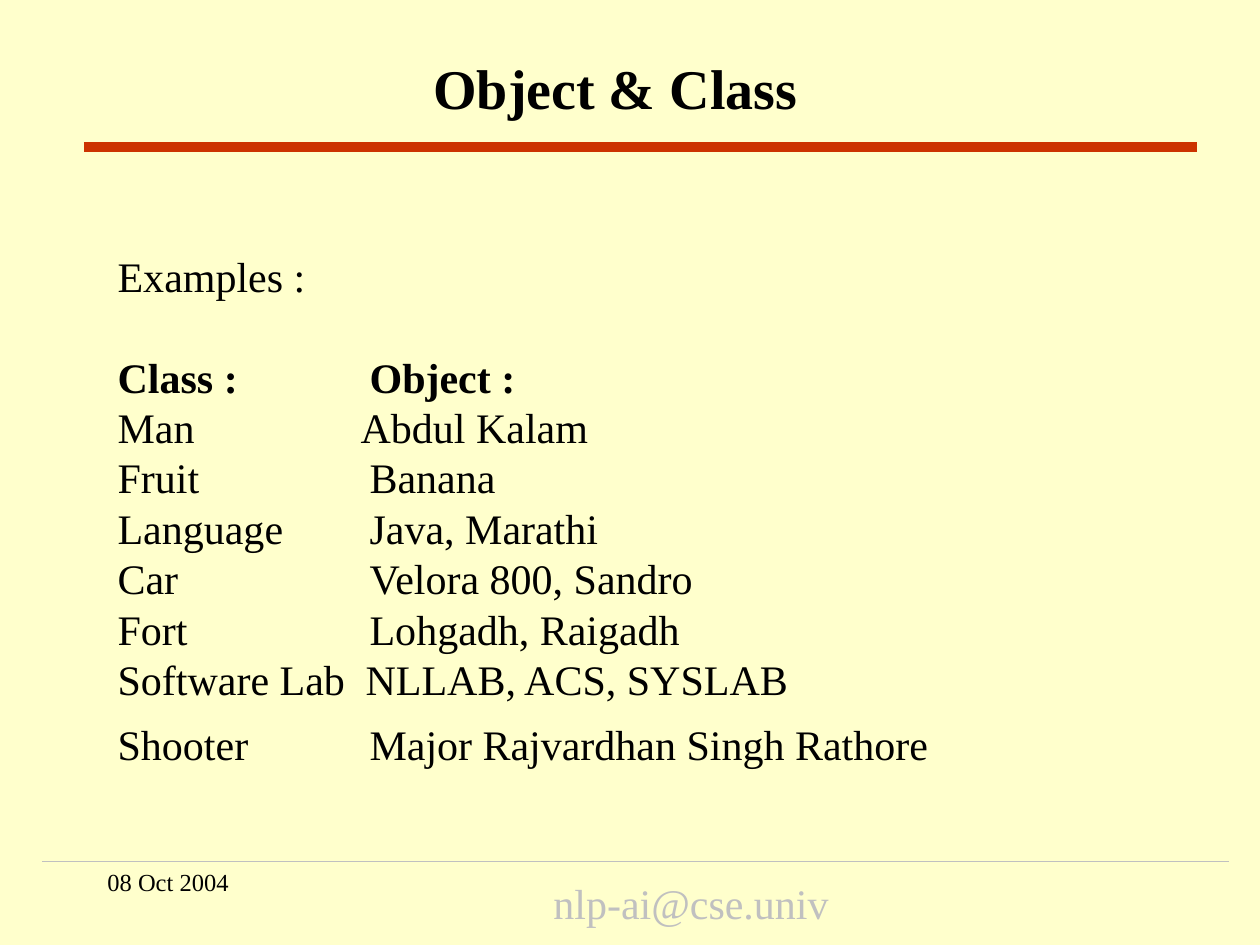
from dataclasses import dataclass

from lxml.etree import SubElement
from pptx import Presentation
from pptx.dml.color import RGBColor
from pptx.enum.shapes import MSO_CONNECTOR
from pptx.enum.text import MSO_ANCHOR, MSO_AUTO_SIZE, PP_ALIGN
from pptx.oxml.ns import qn
from pptx.util import Emu, Pt

EMU_PER_PX = 914400 / 126


@dataclass(frozen=True)
class Theme:
    font: str = "Times New Roman"
    background: str = "FFFFCC"
    ink: str = "000000"
    accent: str = "CC3300"
    muted: str = "C0C0C0"
    title_size: int = 32
    body_size: int = 24
    date_size: int = 14
    line_pitch: float = 28.8


@dataclass(frozen=True)
class Row:
    """One line of the list; tab is where its second column starts, in px."""
    left: str
    right: str = ""
    bold: bool = False
    space_before: float = 0
    tab: int = 252


ROWS = [
    Row("Examples :"),
    Row("Class :", "Object :", bold=True, space_before=Theme.line_pitch),
    Row("Man", "Abdul Kalam", tab=243),
    Row("Fruit", "Banana"),
    Row("Language", "Java, Marathi"),
    Row("Car", "Velora 800, Sandro"),
    Row("Fort", "Lohgadh, Raigadh"),
    Row("Software Lab", "NLLAB, ACS, SYSLAB", tab=248),
    Row("Shooter", "Major Rajvardhan Singh Rathore", space_before=8.4),
]


def px(length):
    return Emu(round(length * EMU_PER_PX))


class SlideBuilder:
    def __init__(self, slide, theme):
        self.slide = slide
        self.theme = theme
        fill = slide.background.fill
        fill.solid()
        fill.fore_color.rgb = RGBColor.from_string(theme.background)

    def place(self, shape, left, top, width, height):
        shape.left, shape.top = px(left), px(top)
        shape.width, shape.height = px(width), px(height)
        frame = shape.text_frame
        frame.word_wrap = True
        frame.auto_size = MSO_AUTO_SIZE.NONE
        return frame

    def style(self, para, size, color=None, bold=False):
        font = para.font
        font.name = self.theme.font
        font.size = Pt(size)
        font.bold = bold
        font.color.rgb = RGBColor.from_string(color or self.theme.ink)

    def title(self, text, *bounds):
        frame = self.place(self.slide.shapes.title, *bounds)
        frame.vertical_anchor = MSO_ANCHOR.MIDDLE
        para = frame.paragraphs[0]
        para.text = text
        para.alignment = PP_ALIGN.CENTER
        self.style(para, self.theme.title_size, bold=True)

    def two_column_list(self, rows, *bounds):
        frame = self.place(self.slide.placeholders[1], *bounds)
        for index, row in enumerate(rows):
            para = frame.add_paragraph() if index else frame.paragraphs[0]
            para.text = f"{row.left}\t{row.right}" if row.right else row.left
            self.set_tab(para, row.tab)
            para.line_spacing = Pt(self.theme.line_pitch)
            para.space_before = Pt(row.space_before)
            self.style(para, self.theme.body_size, bold=row.bold)

    def set_tab(self, para, distance):
        """Remove bullet and indent, and set the distance between tab stops."""
        properties = para._p.get_or_add_pPr()
        properties.set("marL", "0")
        properties.set("indent", "0")
        properties.set("defTabSz", str(px(distance)))
        SubElement(properties, qn("a:buNone"))

    def label(self, text, size, color, *bounds):
        box = self.slide.shapes.add_textbox(0, 0, 0, 0)
        para = self.place(box, *bounds).paragraphs[0]
        para.text = text
        self.style(para, size, color)

    def rule(self, left, right, y, color, weight):
        line = self.slide.shapes.add_connector(
            MSO_CONNECTOR.STRAIGHT, px(left), px(y), px(right), px(y))
        line.line.color.rgb = RGBColor.from_string(color)
        line.line.width = Pt(weight)
        SubElement(line._element.spPr, qn("a:effectLst"))


def main():
    theme = Theme()
    deck = Presentation()
    deck.slide_width, deck.slide_height = px(1260), px(945)
    page = SlideBuilder(deck.slides.add_slide(deck.slide_layouts[1]), theme)

    page.label("nlp-ai@cse.univ", theme.body_size, theme.muted, 541, 871, 531, 60)
    page.rule(42, 1229, 861, theme.muted, 0.25)
    page.rule(84, 1197, 147, theme.accent, 6)
    page.title("Object & Class", 80, 40, 1071, 95)
    page.two_column_list(ROWS, 105, 244, 1099, 534)
    page.label("08 Oct 2004", theme.date_size, theme.ink, 95, 861, 262, 63)

    deck.save("out.pptx")


if __name__ == "__main__":
    main()
